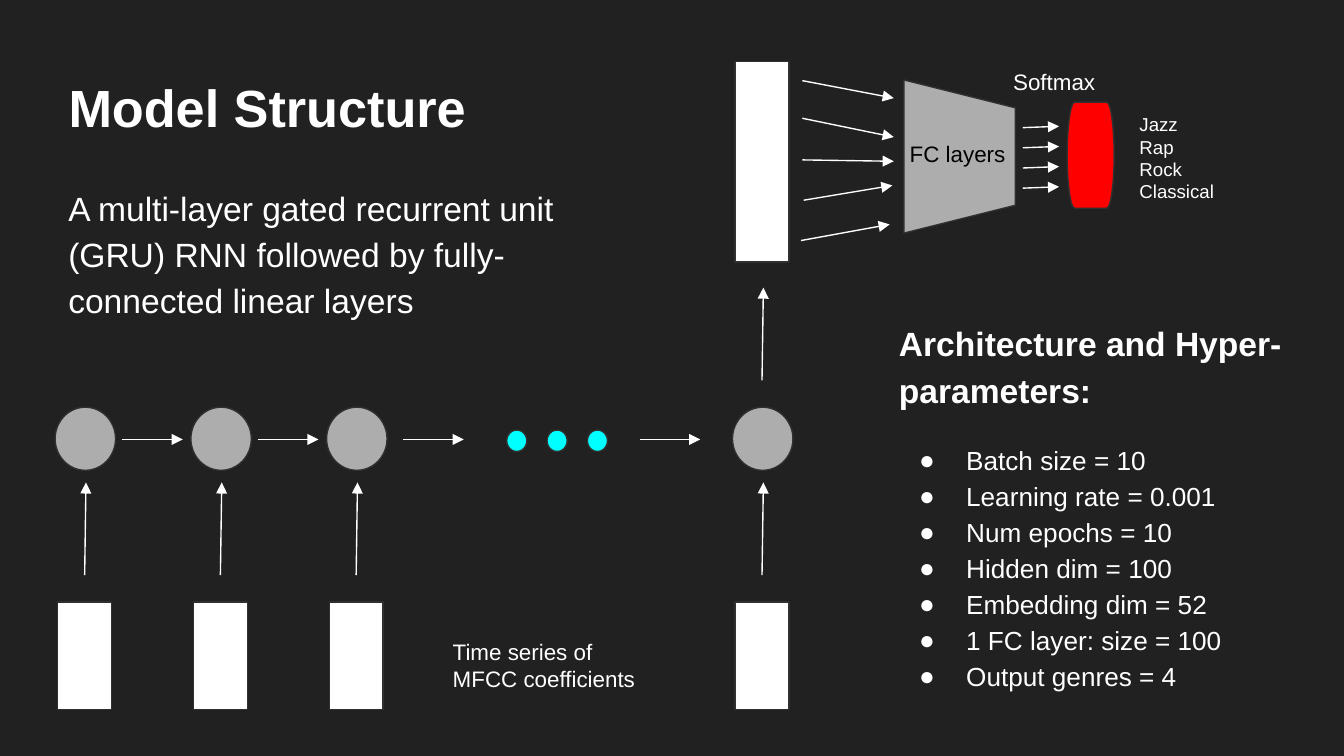
from pptx import Presentation
from pptx.dml.color import RGBColor
from pptx.enum.shapes import MSO_CONNECTOR, MSO_SHAPE
from pptx.enum.text import MSO_ANCHOR, MSO_AUTO_SIZE, PP_ALIGN
from pptx.util import Inches, Pt
from pptx.oxml.ns import qn
from lxml.etree import SubElement

WHITE, GRAY, EDGE, CYAN, RED = "FFFFFF", "ADADAD", "303030", "00FFFF", "FF0000"
TITLE = "Model Structure"
INTRO = "A multi-layer gated recurrent unit (GRU) RNN followed by fully-connected linear layers"
HEAD = "Architecture and Hyper-parameters:"
PARAMS = [
    "Batch size = 10",
    "Learning rate = 0.001",
    "Num epochs = 10",
    "Hidden dim = 100",
    "Embedding dim = 52",
    "1 FC layer: size = 100",
    "Output genres = 4",
]
LABELS = [
    (["Jazz", "Rap", "Rock", "Classical"], (8.38, 0.74, 1.21, 1.02), 10, WHITE),
    (["Time series of MFCC coefficients"], (3.27, 4.65, 1.75, 0.63), 12, WHITE),
    (["FC layers"], (6.67, 0.94, 1.68, 0.63), 12, "000000"),
    (["Softmax"], (7.44, 0.41, 1.26, 0.39), 12, WHITE),
]
STEPS = [0.63, 1.64, 2.65, 5.67]
NEXT = [0.91, 1.92, 3.0, 4.76]
DOTS = [3.77 + 0.3 * i for i in range(3)]
FAN = [
    (5.97, 0.6, 6.65, 0.73),
    (5.97, 0.88, 6.65, 1.02),
    (5.97, 1.19, 6.65, 1.2),
    (5.98, 1.49, 6.64, 1.38),
    (5.96, 1.79, 6.62, 1.67),
]

deck = Presentation()
deck.slide_width = Inches(10)
deck.slide_height = deck.slide_width * 9 // 16
slide = deck.slides.add_slide(deck.slide_layouts[5])
shapes = slide.shapes


def color(code):
    return RGBColor.from_string(code)


def place(item, box):
    item.left, item.top, item.width, item.height = map(Inches, box)


def write(item, lines, size, code=WHITE, bold=False, space=None):
    frame = item.text_frame
    frame.text = "\n".join(lines)
    frame.word_wrap = True
    frame.auto_size = MSO_AUTO_SIZE.NONE
    frame.vertical_anchor = MSO_ANCHOR.TOP
    frame.margin_left = frame.margin_right = Inches(0.1)
    frame.margin_top = frame.margin_bottom = Inches(0.1)
    for para in frame.paragraphs:
        para.alignment = PP_ALIGN.LEFT
        para.line_spacing = space
        for run in para.runs:
            font = run.font
            font.name, font.size, font.bold = "Arial", Pt(size), bold
            font.color.rgb = color(code)
    return frame.paragraphs


def label(lines, box, size, code=WHITE, space=None):
    return write(shapes.add_textbox(*map(Inches, box)), lines, size, code, space=space)


def draw(kind, box, fill):
    item = shapes.add_shape(kind, *map(Inches, box))
    item.shadow.inherit = False
    item.fill.solid()
    item.fill.fore_color.rgb = color(fill)
    item.line.color.rgb = color(EDGE)
    item.line.width = Pt(0.75)
    return item


def arrow(*ends):
    item = shapes.add_connector(MSO_CONNECTOR.STRAIGHT, *map(Inches, ends))
    item.line.color.rgb = color(WHITE)
    item.line.width = Pt(0.75)
    SubElement(item.line._get_or_add_ln(), qn("a:tailEnd"), type="triangle")
    SubElement(item._element.spPr, qn("a:effectLst"))


def bullet(para):
    props = para._p.get_or_add_pPr()
    props.set("marL", str(Inches(0.5)))
    props.set("indent", str(Inches(-0.35)))
    tint = SubElement(props, qn("a:buClr"))
    SubElement(tint, qn("a:srgbClr"), val=WHITE)
    SubElement(props, qn("a:buFont"), typeface="Arial")
    SubElement(props, qn("a:buChar"), char="●")


slide.background.fill.solid()
slide.background.fill.fore_color.rgb = color("212121")
place(shapes.title, (0.41, 0.46, 3.35, 0.63))
write(shapes.title, [TITLE], 28, bold=True)
label([INTRO], (0.41, 1.25, 4.43, 1.14), 18, space=1.15)

for mid in STEPS:
    draw(MSO_SHAPE.OVAL, (mid - 0.22, 3.03, 0.45, 0.47), GRAY)
    draw(MSO_SHAPE.RECTANGLE, (mid - 0.2, 4.48, 0.4, 0.8), WHITE)
    arrow(mid, 4.28, mid + 0.01, 3.59)
for left in NEXT:
    arrow(left, 3.27, left + 0.45, 3.27)
for left in DOTS:
    draw(MSO_SHAPE.OVAL, (left, 3.2, 0.15, 0.16), CYAN)

arrow(5.67, 2.83, 5.68, 2.14)
draw(MSO_SHAPE.RECTANGLE, (5.47, 0.46, 0.4, 1.49), WHITE)
draw(MSO_SHAPE.FLOWCHART_TERMINATOR, (7.94, 0.76, 0.35, 0.79), RED)
funnel = draw(MSO_SHAPE.TRAPEZOID, (6.57, 0.75, 1.14, 0.83), GRAY)
funnel.adjustments[0] = 0.25
funnel.rotation = 90
for ends in FAN:
    arrow(*ends)
for i in range(4):
    high = 0.95 + 0.15 * i
    arrow(7.61, high, 7.88, high - 0.01)

head, *items = label([HEAD] + PARAMS, (6.59, 2.26, 3.35, 3.02), 14, space=1.15)
head.runs[0].font.size = Pt(18)
head.runs[0].font.bold = True
items[0].space_before = Pt(16)
for para in items:
    bullet(para)
for entry in LABELS:
    label(*entry)

deck.save("out.pptx")
